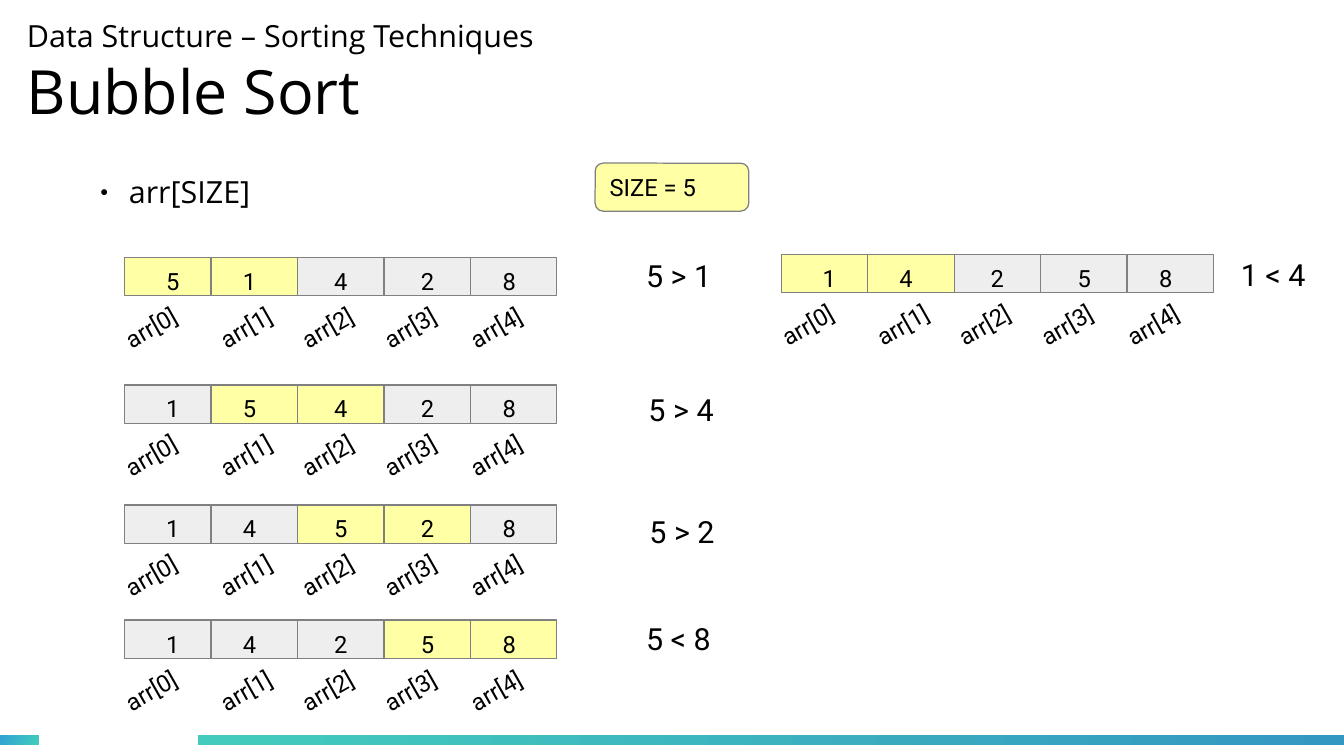
from dataclasses import dataclass

from lxml import etree
from pptx import Presentation, util as u
from pptx.dml import color
from pptx.enum import shapes, text
from pptx.oxml import ns

Cm = u.Cm


@dataclass(frozen=True)
class Theme:
    ink: str = "000000"
    cell: str = "EEEEEE"
    active: str = "FFFFA6"
    border: str = "808080"
    teal: str = "43CCBD"
    sky: str = "30A2D2"
    blue: str = "3497C1"
    heading_font: str = "Open Sans"
    label_font: str = "Roboto"
    title_size: int = 36
    body_size: int = 18
    label_size: int = 14


THEME = Theme()
FRAME = {"word_wrap": True, "auto_size": text.MSO_AUTO_SIZE.NONE,
         "vertical_anchor": text.MSO_ANCHOR.TOP}
CELL_WIDTH, CELL_HEIGHT = 1.8, 0.8
# Offsets of the values and index labels from the left of an array
VALUE_OFFSETS = (0.61, 2.21, 4.11, 5.92, 7.62)
INDEX_OFFSETS = (-0.28, 1.7, 3.4, 5.12, 6.91)

# Array position, values, first compared index, comparison, its position
STEPS = (
    ((2.6, 5.36), "51428", 0, "5 > 1", (13.21, 5.23)),
    ((2.6, 8.02), "15428", 1, "5 > 4", (13.26, 8.03)),
    ((2.6, 10.52), "14528", 2, "5 > 2", (13.28, 10.57)),
    ((2.6, 12.92), "14258", 3, "5 < 8", (13.21, 12.8)),
    ((16.28, 5.3), "14258", 0, "1 < 4", (25.6, 5.21)),
)


def set_values(target, values):
    for name, value in values.items():
        setattr(target, name, value)


def rgb(value):
    return color.RGBColor.from_string(value)


def place(shape, box):
    names = ("left", "top", "width", "height")
    set_values(shape, dict(zip(names, map(Cm, box))))


def add_run(paragraph, words, font, size):
    run = paragraph.add_run()
    run.text = words
    set_values(run.font, {"name": font, "size": u.Pt(size)})
    run.font.color.rgb = rgb(THEME.ink)


def add_label(slide, box, words, size=THEME.label_size, rotation=0):
    shape = slide.shapes.add_textbox(*map(Cm, box))
    shape.rotation = rotation
    set_values(shape.text_frame, FRAME)
    add_run(shape.text_frame.paragraphs[0], words, THEME.label_font, size)


def add_block(slide, kind, box, fill):
    shape = slide.shapes.add_shape(kind, *map(Cm, box))
    shape.shadow.inherit = False
    shape.fill.solid()
    shape.fill.fore_color.rgb = rgb(fill)
    shape.line.color.rgb = rgb(THEME.border)
    shape.line.width = u.Pt(0)


def add_footer_bar(slide, box, end_color, angle):
    bar = slide.shapes.add_shape(shapes.MSO_SHAPE.RECTANGLE, *map(Cm, box))
    bar.shadow.inherit = False
    bar.line.fill.background()
    bar.fill.gradient()
    bar.fill.gradient_angle = angle
    for stop, value in zip(bar.fill.gradient_stops, (THEME.teal, end_color)):
        stop.color.rgb = rgb(value)


def fill_title(slide, box):
    title = slide.shapes.title
    place(title, box)
    margins = dict.fromkeys(
        ("margin_left", "margin_top", "margin_right", "margin_bottom"), 0)
    set_values(title.text_frame, FRAME | margins
               | {"vertical_anchor": text.MSO_ANCHOR.MIDDLE})
    paragraph = title.text_frame.paragraphs[0]
    paragraph.alignment = text.PP_ALIGN.LEFT
    add_run(paragraph, "Data Structure – Sorting Techniques",
            THEME.heading_font, THEME.body_size)
    paragraph.add_line_break()
    add_run(paragraph, "Bubble Sort", THEME.heading_font, THEME.title_size)


def fill_body(slide, box):
    body = slide.placeholders[1]
    place(body, box)
    set_values(body.text_frame, FRAME)
    paragraph = body.text_frame.paragraphs[0]
    properties = paragraph._p.get_or_add_pPr()
    properties.set("marL", str(Cm(0.6)))
    properties.set("indent", str(-Cm(0.6)))
    bullet_color = etree.SubElement(properties, ns.qn("a:buClr"))
    etree.SubElement(bullet_color, ns.qn("a:srgbClr"), val=THEME.ink)
    etree.SubElement(properties, ns.qn("a:buSzPct"), val="45000")
    etree.SubElement(properties, ns.qn("a:buChar"), char="●")
    paragraph.space_before = u.Pt(0)
    add_run(paragraph, "arr[SIZE]", THEME.heading_font, THEME.body_size)


def add_size_badge(slide, box):
    left, top, width, height = box
    add_block(slide, shapes.MSO_SHAPE.ROUNDED_RECTANGLE, box, THEME.active)
    add_label(slide, (left + 0.05, top + 0.07, width - 0.15, height - 0.08),
              "SIZE = 5")


def add_array(slide, position, values, first_compared):
    left, top = position
    for index, value in enumerate(values):
        compared = index in (first_compared, first_compared + 1)
        add_block(slide, shapes.MSO_SHAPE.RECTANGLE,
                  (left + index * CELL_WIDTH, top, CELL_WIDTH, CELL_HEIGHT),
                  THEME.active if compared else THEME.cell)
    for index, value in enumerate(values):
        add_label(slide, (left + VALUE_OFFSETS[index], top + 0.07, 0.82, 0.91),
                  value)
        add_label(slide, (left + INDEX_OFFSETS[index], top + 0.9, 2.18, 0.99),
                  f"arr[{index}]", rotation=330.4)


def build_sort_slide(presentation):
    slide = presentation.slides.add_slide(presentation.slide_layouts[1])
    # Footer band
    add_footer_bar(slide, (0, 15.32, 0.81, 0.2), THEME.sky, 150)
    add_footer_bar(slide, (4.13, 15.32, 23.87, 0.2), THEME.blue, 330)
    # Heading and array declaration
    fill_title(slide, (0.56, 0.2, 19.5, 2.6))
    fill_body(slide, (1.83, 3.48, 4.14, 1.12))
    add_size_badge(slide, (12.4, 3.4, 3.2, 1))
    # Sorting steps with their comparisons
    for position, values, first_compared, comparison, spot in STEPS:
        add_array(slide, position, values, first_compared)
        add_label(slide, (*spot, 2.24, 1.12), comparison, THEME.body_size)


def main():
    presentation = Presentation()
    set_values(presentation, {"slide_width": Cm(28), "slide_height": Cm(15.75)})
    build_sort_slide(presentation)
    presentation.save("out.pptx")


if __name__ == "__main__":
    main()
